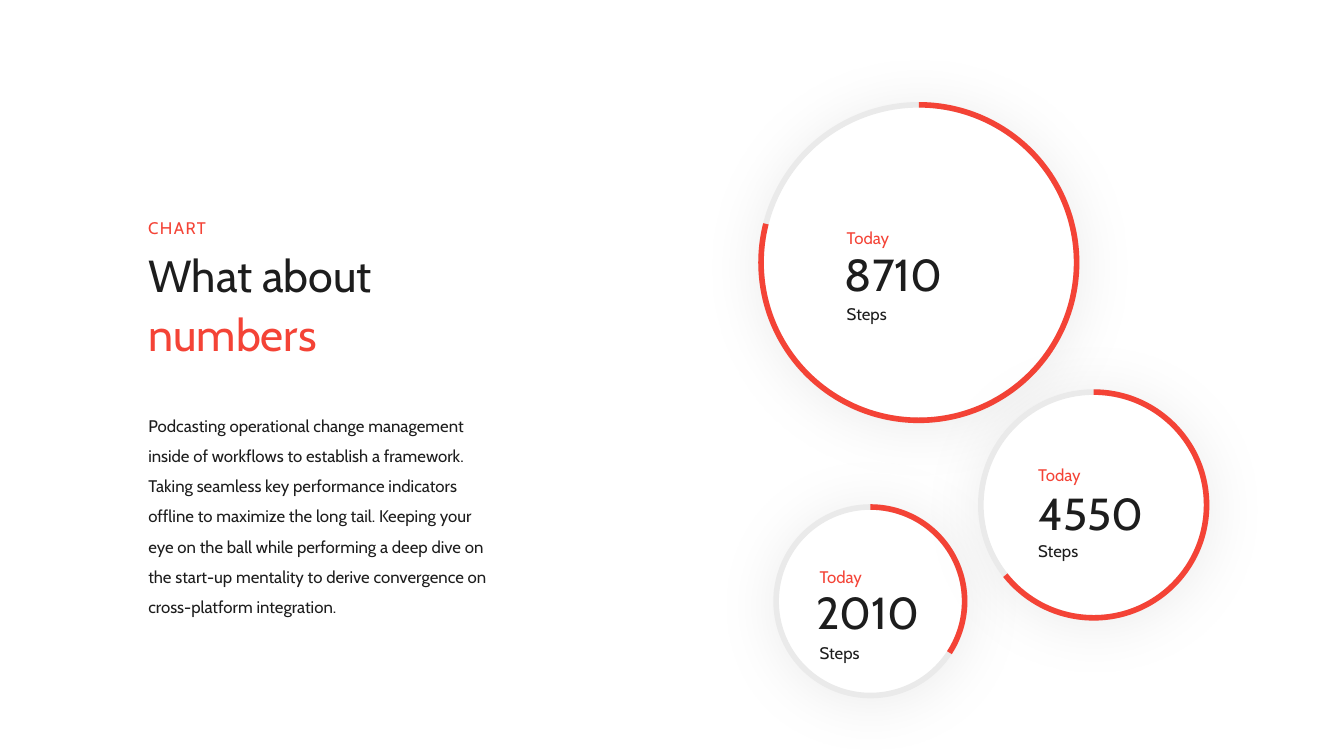
from lxml import etree
from pptx import Presentation
from pptx.dml.color import RGBColor
from pptx.enum.shapes import MSO_SHAPE
from pptx.enum.text import MSO_ANCHOR, MSO_AUTO_SIZE
from pptx.oxml.ns import qn
from pptx.util import Inches, Pt

OVAL, ARC = MSO_SHAPE.OVAL, MSO_SHAPE.ARC
TOP, BOTTOM = MSO_ANCHOR.TOP, MSO_ANCHOR.BOTTOM
FIT = MSO_AUTO_SIZE.SHAPE_TO_FIT_TEXT

# Content: places are percentages of the slide's width (x) and height (y)
KICKER = "CHART"
TITLE = [("What about ", "ink"), ("numbers", "accent")]
BODY = ("Podcasting operational change management inside of workflows to establish "
        "a framework. Taking seamless key performance indicators offline to maximize "
        "the long tail. Keeping your eye on the ball while performing a deep dive on "
        "the start-up mentality to derive convergence on cross-platform integration.")
DIALS = [
    dict(steps="2010", sweep=33.03, x=57.75, y=67.07, size=14.03,
         label=(60.98, 73.6, 6), number=(60.75, 78)),
    dict(steps="8710", sweep=194.21, x=56.63, y=13.87, size=23.48,
         label=(63, 28.8, 6), number=(62.85, 33.33)),
    dict(steps="4550", sweep=141.52, x=72.98, y=51.87, size=16.8,
         label=(77.25, 60.13, 4.5), number=(77.25, 64.93)),
]
LEFT = 11.03            # left edge of the text column
LABEL_GAP = 10.1        # from "Today" down to "Steps"
LABEL_H, NUMBER_H = 3.6, 7.07

THEME = dict(
    font="Cabin", small=12, large=32, ring=4,
    ink=RGBColor(0x1D, 0x1D, 0x1D), accent=RGBColor(0xF4, 0x43, 0x36),
    track=RGBColor(0xEA, 0xEA, 0xEA), paper=RGBColor(0xFF, 0xFF, 0xFF),
)

prs = Presentation()
prs.slide_width, prs.slide_height = Inches(13.33), Inches(7.5)
slide = prs.slides.add_slide(prs.slide_layouts[6])


def px(share):
    return round(prs.slide_width * share / 100)


def py(share):
    return round(prs.slide_height * share / 100)


def add_text(shapes, text, x, y, w, h, *, size="small", color="ink", spacing=1.5,
             pad=(0, 0), anchor=TOP, tracking=None):
    """Text is a string, or a list of (line, colour) pairs; pad is (right, vertical)."""
    tf = shapes.add_textbox(px(x), py(y), px(w), py(h)).text_frame
    tf.word_wrap, tf.auto_size, tf.vertical_anchor = True, FIT, anchor
    tf.margin_left, tf.margin_right = 0, Inches(pad[0])
    tf.margin_top = tf.margin_bottom = Inches(pad[1])
    p = tf.paragraphs[0]
    p.line_spacing = spacing
    lines = [(text, color)] if isinstance(text, str) else text
    for i, (line, tone) in enumerate(lines):
        if i:
            p.add_line_break()
        r = p.add_run()
        r.text = line
        r.font.name, r.font.size = THEME["font"], Pt(THEME[size])
        r.font.color.rgb = THEME[tone]
        if tracking:
            r.font._element.set("spc", str(tracking * 100))


def add_ring(shapes, kind, dial, color):
    side = px(dial["size"])
    sp = shapes.add_shape(kind, px(dial["x"]), py(dial["y"]), side, side)
    sp.shadow.inherit = False
    sp.line.color.rgb, sp.line.width = THEME[color], Pt(THEME["ring"])
    return sp


def add_soft_shadow(sp):
    effects = sp._element.spPr.find(qn("a:effectLst"))
    shadow = etree.SubElement(effects, qn("a:outerShdw"), blurRad=str(Pt(45)),
                              dist=str(Pt(3)), dir="5400000", algn="t",
                              rotWithShape="0")
    black = etree.SubElement(shadow, qn("a:srgbClr"), val="000000")
    etree.SubElement(black, qn("a:alpha"), val="8000")


def add_dial(dial):
    shapes = slide.shapes.add_group_shape().shapes
    track = add_ring(shapes, OVAL, dial, "track")
    track.fill.solid()
    track.fill.fore_color.rgb = THEME["paper"]
    add_soft_shadow(track)

    arc = add_ring(shapes, ARC, dial, "accent")
    arc.fill.background()
    # Angles are in 60000ths of a degree, scaled by 100000; 270 is twelve o'clock
    arc.adjustments[0] = 270 * 0.6
    arc.adjustments[1] = (270 + dial["sweep"]) % 360 * 0.6 if dial["sweep"] < 0 \
        else dial["sweep"] * 0.6

    x, y, w = dial["label"]
    add_text(shapes, dial["steps"], *dial["number"], 2 * w, NUMBER_H,
             size="large", spacing=0.8, pad=(0.1, 0.05))
    add_text(shapes, "Steps", x, y + LABEL_GAP, w, LABEL_H, pad=(0.1, 0))
    add_text(shapes, "Today", x, y, w, LABEL_H, color="accent", pad=(0.1, 0))


# Step dials
for dial in DIALS:
    add_dial(dial)

# Text column
add_text(slide.shapes, TITLE, LEFT, 32, 33.46, 15.2, size="large", spacing=1.1)
add_text(slide.shapes, BODY, LEFT, 53.6, 25.58, 28.27)
add_text(slide.shapes, KICKER, LEFT, 28.53, 14.85, 2.93, color="accent",
         spacing=1.2, anchor=BOTTOM, tracking=1)

prs.save("out.pptx")
